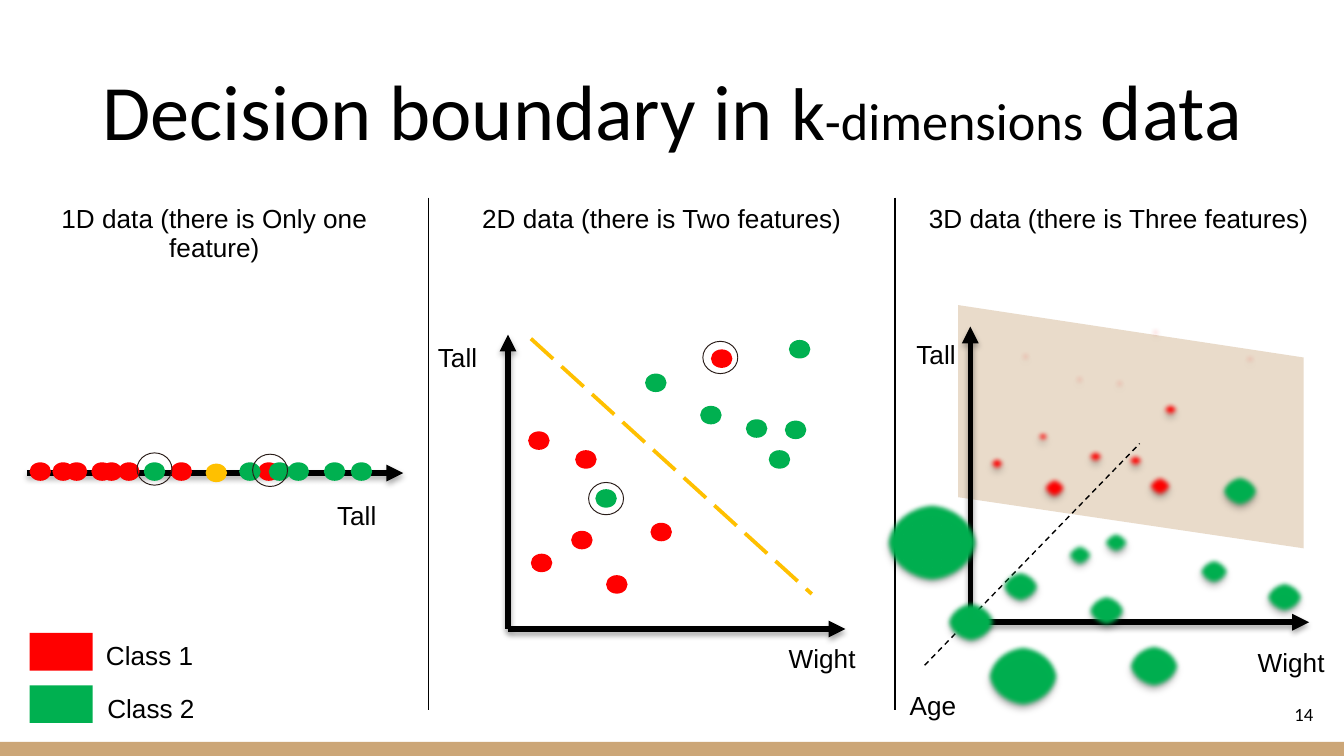
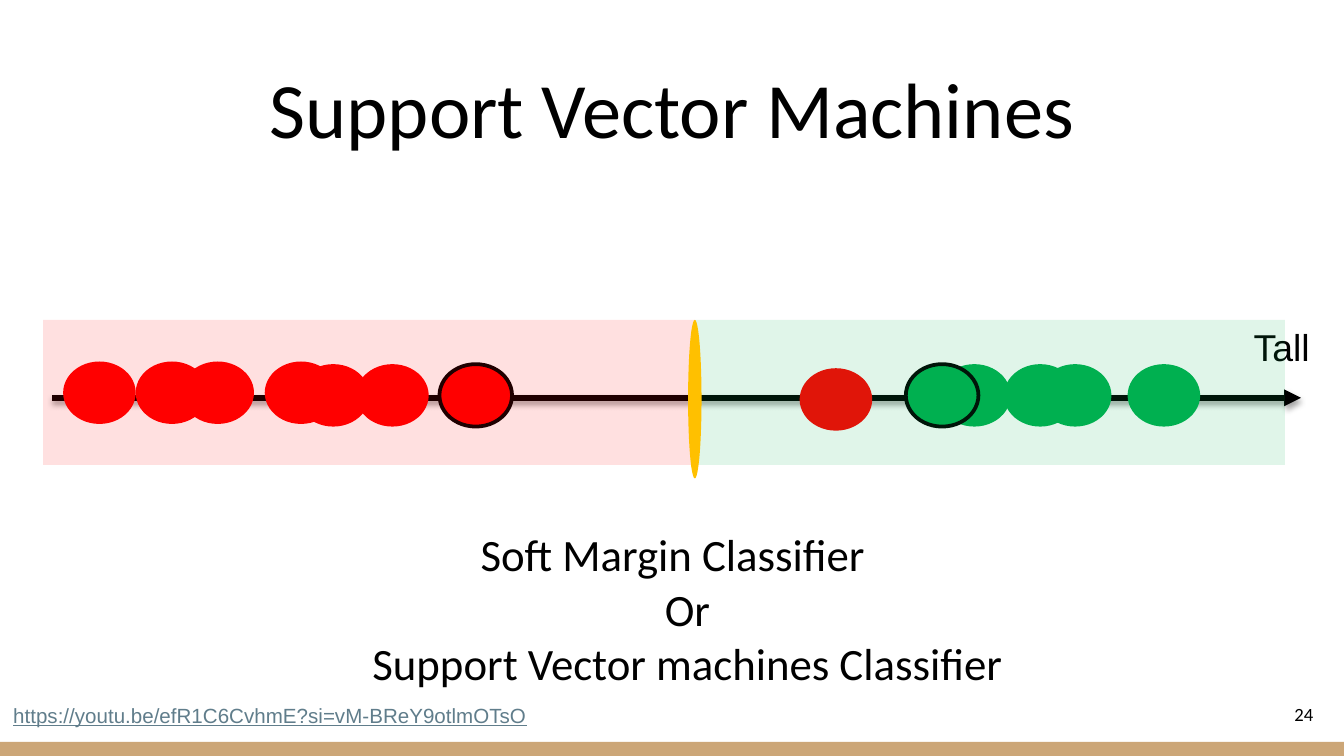
from typing import NamedTuple

from lxml import etree
from pptx import Presentation
from pptx.dml.color import RGBColor
from pptx.enum.dml import MSO_LINE
from pptx.enum.shapes import MSO_CONNECTOR, MSO_SHAPE
from pptx.enum.text import MSO_ANCHOR, PP_ALIGN
from pptx.oxml.ns import qn
from pptx.util import Inches, Pt

BLACK = RGBColor(0x00, 0x00, 0x00)
RED = RGBColor(0xFF, 0x00, 0x00)
GREEN = RGBColor(0x00, 0xB0, 0x50)
GOLD = RGBColor(0xFF, 0xC0, 0x00)
TAN = RGBColor(0xCC, 0xA6, 0x77)
BROWN = RGBColor(0xB0, 0x7F, 0x42)
UMBER = RGBColor(0x29, 0x1C, 0x18)
SLATE = RGBColor(0x60, 0x7D, 0x8B)

ARIAL, CALIBRI = "Arial", "Calibri"
LEFT, CENTER, RIGHT = PP_ALIGN.LEFT, PP_ALIGN.CENTER, PP_ALIGN.RIGHT
TOP, MIDDLE, BOTTOM = MSO_ANCHOR.TOP, MSO_ANCHOR.MIDDLE, MSO_ANCHOR.BOTTOM
OVAL, RECT = MSO_SHAPE.OVAL, MSO_SHAPE.RECTANGLE
STRAIGHT = MSO_CONNECTOR.STRAIGHT
DASH, LONG_DASH = MSO_LINE.DASH, MSO_LINE.LONG_DASH

WIDTH = Inches(10)
HEIGHT = WIDTH * 9 // 16
RATIO = 0.86


class Box(NamedTuple):
    x: float
    y: float
    w: float
    h: float


class Span(NamedTuple):
    text: str
    size: float


class Dot(NamedTuple):
    x: float
    y: float
    w: float = 0.16


class Shade(NamedTuple):
    alpha: int
    blur: float
    drop: float
    soft: float = 0


class Label(NamedTuple):
    text: str
    x: float
    y: float


AXIS_SHADE = Shade(35, 3.15, 1.8)
DEPTH_SHADE = Shade(32, 3.5, 2.2, 2.5)

HEADS = ("1D data (there is Only one feature)",
         "2D data (there is Two features)",
         "3D data (there is Three features)")
LABELS = (Label("Wight", 5.77, 4.73), Label("Tall", 2.41, 3.67),
          Label("Tall", 3.16, 2.49), Label("Tall", 6.72, 2.47),
          Label("Wight", 9.26, 4.76), Label("Age", 6.67, 5.08))

LINE_RED = [Dot(x, 3.44) for x in
            (0.39, 0.49, 0.88, 1.27, 1.92, 0.68, 0.22, 0.75)]
LINE_GREEN = [Dot(x, 3.44) for x in (2.14, 2, 2.41, 2.61, 1.78, 1.07)]
PLANE_RED = [Dot(4.25, 3.95), Dot(4.84, 3.89), Dot(4.28, 3.35),
             Dot(4.51, 4.28), Dot(3.95, 4.12), Dot(3.93, 3.21),
             Dot(5.29, 2.6)]
PLANE_GREEN = [Dot(4.43, 3.64), Dot(5.55, 3.12), Dot(5.21, 3.02),
               Dot(4.8, 2.78), Dot(5.72, 3.35), Dot(5.84, 3.13),
               Dot(5.87, 2.53)]
SPACE_RED = [Dot(8.07, 3.33), Dot(7.69, 3.19, 0.14), Dot(8.63, 2.98),
             Dot(8.37, 3.36), Dot(7.74, 3.54, 0.21), Dot(7.97, 2.77, 0.12),
             Dot(7.34, 3.38), Dot(7.57, 2.6, 0.12), Dot(8.54, 2.42, 0.12),
             Dot(8.52, 3.52, 0.22), Dot(8.27, 2.8, 0.12),
             Dot(9.24, 2.62, 0.12)]
SPACE_GREEN = [Dot(7.44, 4.23, 0.31), Dot(9.07, 3.52, 0.31),
               Dot(8.08, 4.41, 0.31), Dot(8.19, 3.94, 0.23),
               Dot(9.4, 4.31, 0.31), Dot(7.92, 4.03, 0.23),
               Dot(8.9, 4.14, 0.26), Dot(6.58, 3.73, 0.71),
               Dot(7.03, 4.46, 0.39), Dot(7.33, 4.79, 0.56),
               Dot(8.38, 4.78, 0.41)]
RINGS = [Box(x, y, 0.26, 0.24) for x, y in
         ((5.23, 2.54), (4.38, 3.59), (1.88, 3.38), (1.02, 3.37))]

BIG = 0.54
BIG_RED = [Dot(x, 2.69, BIG) for x in (1.01, 1.35, 1.97, 0.47)]
BIG_RED += [Dot(x, 2.71, BIG) for x in (2.65, 2.21)]
BIG_GREEN = [Dot(x, 2.71, BIG) for x in (7.47, 6.98, 7.73, 8.39)]


def node(parent, tag: str, **attrs):
    return etree.SubElement(parent, qn(tag),
                            {key: str(val) for key, val in attrs.items()})


def cast(props, shade: Shade | None) -> None:
    for old in props.findall(qn("a:effectLst")):
        props.remove(old)
    effects = node(props, "a:effectLst")
    if shade is None:
        return
    outer = node(effects, "a:outerShdw", blurRad=Pt(shade.blur),
                 dist=Pt(shade.drop), dir=5400000, rotWithShape=0)
    tint = node(outer, "a:srgbClr", val=BLACK)
    node(tint, "a:alpha", val=shade.alpha * 1000)
    if shade.soft:
        node(effects, "a:softEdge", rad=Pt(shade.soft))


def paint(shape, fill: RGBColor | None, line: RGBColor | None = None,
          width: float = 1, alpha: int = 100,
          shade: Shade | None = None) -> None:
    if fill is None:
        shape.fill.background()
    else:
        shape.fill.solid()
        shape.fill.fore_color.rgb = fill
        if alpha < 100:
            tint = shape._element.spPr.find(qn("a:solidFill"))[0]
            node(tint, "a:alpha", val=alpha * 1000)
    if line is None:
        shape.line.fill.background()
    else:
        shape.line.color.rgb = line
        shape.line.width = Pt(width)
    shape.shadow.inherit = False
    cast(shape._element.spPr, shade)


def draw(slide, kind, box: Box, fill: RGBColor | None, **style) -> None:
    shape = slide.shapes.add_shape(kind, *map(Inches, box))
    paint(shape, fill, **style)


def plot(slide, dots: list[Dot], fill: RGBColor, **style) -> None:
    for dot in dots:
        draw(slide, OVAL, Box(*dot, dot.w * RATIO), fill, **style)


def rule(slide, start: tuple[float, float], end: tuple[float, float],
         color: RGBColor = BLACK, width: float = 3, dash=None,
         arrow: bool = False) -> None:
    line = slide.shapes.add_connector(STRAIGHT, *map(Inches, start + end))
    line.line.color.rgb = color
    line.line.width = Pt(width)
    if dash is not None:
        line.line.dash_style = dash
    props = line._element.spPr
    if arrow:
        node(props.find(qn("a:ln")), "a:tailEnd", type="triangle")
    cast(props, AXIS_SHADE if arrow else None)


def write(frame, text: str | list[Span], size: float = 14, font: str = ARIAL,
          color: RGBColor = BLACK, align=LEFT, under: bool = False) -> None:
    if isinstance(text, str):
        rows = [[Span(row, size)] for row in text.split("\n")]
    else:
        rows = [text]
    for index, row in enumerate(rows):
        para = frame.add_paragraph() if index else frame.paragraphs[0]
        para.alignment = align
        for span in row:
            run = para.add_run()
            run.text = span.text
            run.font.size = Pt(span.size)
            run.font.name = font
            run.font.color.rgb = color
            if under:
                run.font.underline = True


def note(slide, box: Box, text: str | list[Span], anchor=TOP,
         pad: float = 0.05, **style) -> None:
    frame = slide.shapes.add_textbox(*map(Inches, box)).text_frame
    frame.word_wrap = True
    frame.vertical_anchor = anchor
    frame.margin_top = frame.margin_bottom = Inches(pad)
    write(frame, text, **style)


def start(deck, title: str | list[Span], box: Box, page: str):
    slide = deck.slides.add_slide(deck.slide_layouts[6])
    draw(slide, RECT, Box(0, 5.52, 10, 0.11), TAN)
    note(slide, box, title, anchor=BOTTOM, pad=0.1, size=42, font=CALIBRI,
         align=CENTER)
    note(slide, Box(9.27, 5.1, 0.6, 0.43), page, anchor=MIDDLE, pad=0.1,
         size=10, font=CALIBRI, align=RIGHT)
    return slide


def edge(cell, tag: str) -> None:
    line = etree.Element(qn(tag), w=str(Pt(1)))
    node(node(line, "a:solidFill"), "a:srgbClr", val=BLACK)
    cell._tc.get_or_add_tcPr().insert(0, line)


def add_grid(slide) -> None:
    box = Box(0, 1.47, 10, 3.81)
    table = slide.shapes.add_table(2, 3, *map(Inches, box)).table
    table.first_row = table.horz_banding = False
    style = table._tbl.tblPr.find(qn("a:tableStyleId"))
    style.text = "{2D5ABB26-0587-4C30-8999-92F81FD0307C}"
    for col, width in zip(table.columns, (3.19, 3.47, 3.33)):
        col.width = Inches(width)
    for row, height in zip(table.rows, (0.71, 3.1)):
        row.height = Inches(height)
        for index, cell in enumerate(row.cells):
            cell.fill.background()
            if index < 2:
                edge(cell, "a:lnR")
            if index:
                edge(cell, "a:lnL")
    for cell, head in zip(table.rows[0].cells, HEADS):
        write(cell.text_frame, head, align=CENTER)


def add_axes(slide, zero: tuple[float, float], top: float,
             right: float) -> None:
    rule(slide, zero, (zero[0], top), arrow=True)
    rule(slide, zero, (right, zero[1]), arrow=True)


def add_sheet(slide) -> None:
    points = [(Inches(x), Inches(y)) for x, y in
              ((7.13, 2.27), (9.7, 2.66), (9.7, 4.08), (7.13, 3.7))]
    pen = slide.shapes.build_freeform(*points[0])
    pen.add_line_segments(points[1:], close=True)
    paint(pen.convert_to_shape(), BROWN, alpha=28)


def add_bounds(deck) -> None:
    title = [Span("Decision boundary in ", 42), Span("k", 40),
             Span("-dimensions", 28), Span(" data", 42)]
    slide = start(deck, title, Box(0.34, 0.35, 9.32, 0.91), "14")
    add_grid(slide)

    rule(slide, (0.2, 3.52), (3, 3.52), arrow=True)
    plot(slide, LINE_RED, RED)
    plot(slide, LINE_GREEN, GREEN)
    plot(slide, [Dot(1.53, 3.45)], GOLD)

    add_axes(slide, (3.78, 4.68), 2.49, 6.29)
    plot(slide, PLANE_RED, RED)
    plot(slide, PLANE_GREEN, GREEN)

    add_sheet(slide)
    add_axes(slide, (7.22, 4.63), 2.43, 9.74)
    rule(slide, (6.88, 4.95), (8.48, 3.3), width=0.75, dash=DASH)
    plot(slide, SPACE_RED, RED, shade=DEPTH_SHADE)
    plot(slide, SPACE_GREEN, GREEN, shade=DEPTH_SHADE)

    rule(slide, (3.95, 2.52), (6.04, 4.42), GOLD, 2, LONG_DASH)
    for ring in RINGS:
        draw(slide, OVAL, ring, None, line=UMBER, width=0.5)
    for label in LABELS:
        note(slide, Box(label.x, label.y, 1.23, 0.35), label.text)
    for index, color in enumerate((RED, GREEN)):
        y = 4.71 + 0.39 * index
        draw(slide, RECT, Box(0.22, y, 0.47, 0.28), color)
        note(slide, Box(0.69 + 0.01 * index, y, 1.03, 0.34),
             f"Class {index + 1}")


def add_margin(deck) -> None:
    slide = start(deck, "Support Vector Machines",
                  Box(1.88, 0.34, 6.24, 0.91), "24")
    rule(slide, (0.39, 2.96), (9.68, 2.96), arrow=True)
    plot(slide, BIG_RED, RED)
    plot(slide, BIG_GREEN, GREEN)
    for x, color in ((3.27, RED), (6.74, GREEN)):
        plot(slide, [Dot(x, 2.71, BIG)], color, line=BLACK, width=2)
    note(slide, Box(9.23, 2.36, 1.23, 0.44), "Tall", size=20)
    note(slide, Box(0, 5.18, 5.21, 0.29),
         "https://youtu.be/efR1C6CvhmE?si=vM-BReY9otlmOTsO",
         size=11, color=SLATE, under=True)
    plot(slide, [Dot(5.95, 2.74, BIG)], RED)
    draw(slide, RECT, Box(5.17, 2.38, 4.39, 1.08), GREEN, alpha=12)
    draw(slide, RECT, Box(0.32, 2.38, 4.85, 1.08), RED, alpha=12)
    draw(slide, OVAL, Box(5.12, 2.38, 0.1, 1.18), GOLD)
    for box, text in (
            (Box(2.39, 3.87, 5.23, 0.5), "Soft Margin Classifier"),
            (Box(2.5, 4.28, 5.23, 0.91),
             "Or\nSupport Vector machines Classifier")):
        note(slide, box, text, size=24, font=CALIBRI, align=CENTER)


def main() -> None:
    deck = Presentation()
    deck.slide_width, deck.slide_height = WIDTH, HEIGHT
    add_bounds(deck)
    add_margin(deck)
    deck.save("out.pptx")


if __name__ == "__main__":
    main()
